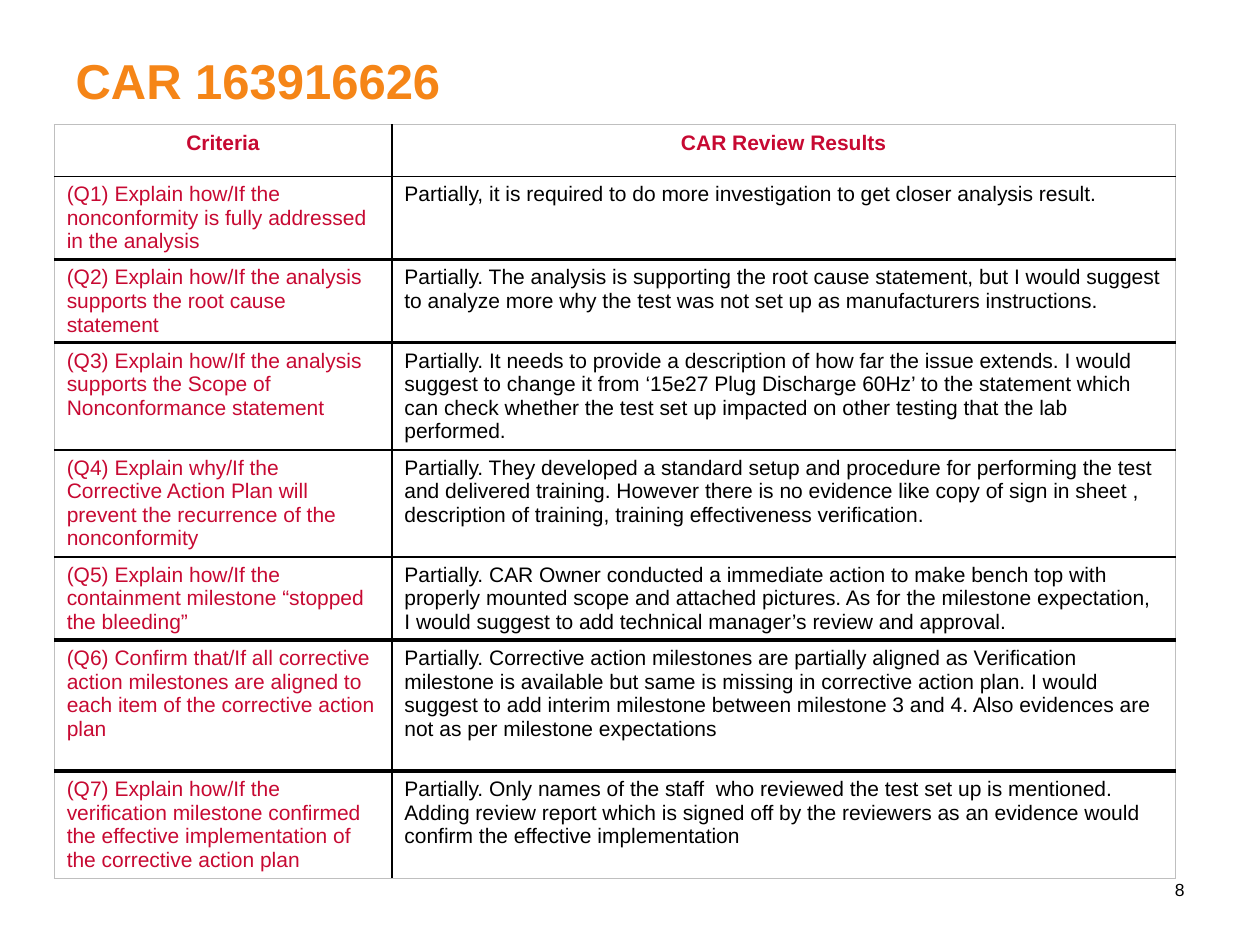
import pptx
import pptx.util
import pptx.dml.color
import pptx.enum.text
import pptx.oxml
import pptx.oxml.ns

COLORS = {"title": "F58517", "criteria": "C70932", "text": "000000",
          "rule": "000000", "frame": "BFBFBF"}
ALIGN = pptx.enum.text.PP_ALIGN
ANCHOR = pptx.enum.text.MSO_ANCHOR
THIN, THICK, FRAME = ("rule", 1), ("rule", 2.25), ("frame", 0.5)

HEADINGS = ("Criteria", "CAR Review Results")
REVIEW = [
    ("(Q1) Explain how/If the nonconformity is fully addressed in the analysis",
     "Partially, it is required to do more investigation to get closer analysis result."),
    ("(Q2) Explain how/If the analysis supports the root cause statement",
     "Partially. The analysis is supporting the root cause statement, but I would suggest "
     "to analyze more why the test was not set up as manufacturers instructions."),
    ("(Q3) Explain how/If the analysis supports the Scope of Nonconformance statement",
     "Partially. It needs to provide a description of how far the issue extends. I would "
     "suggest to change it from ‘15e27 Plug Discharge 60Hz’ to the statement which can check "
     "whether the test set up impacted on other testing that the lab performed."),
    ("(Q4) Explain why/If the Corrective Action Plan will prevent the recurrence of the "
     "nonconformity",
     "Partially. They developed a standard setup and procedure for performing the test and "
     "delivered training. However there is no evidence like copy of sign in sheet , "
     "description of training, training effectiveness verification."),
    ("(Q5) Explain how/If the containment milestone “stopped the bleeding”",
     "Partially. CAR Owner conducted a immediate action to make bench top with properly "
     "mounted scope and attached pictures. As for the milestone expectation, I would suggest "
     "to add technical manager’s review and approval."),
    ("(Q6) Confirm that/If all corrective action milestones are aligned to each item of the "
     "corrective action plan",
     "Partially. Corrective action milestones are partially aligned as Verification milestone "
     "is available but same is missing in corrective action plan. I would suggest to add "
     "interim milestone between milestone 3 and 4. Also evidences are not as per milestone "
     "expectations"),
    ("(Q7) Explain how/If the verification milestone confirmed the effective implementation "
     "of the corrective action plan",
     "Partially. Only names of the staff  who reviewed the test set up is mentioned. Adding "
     "review report which is signed off by the reviewers as an evidence would confirm the "
     "effective implementation"),
]
ROW_HEIGHTS = [4.1, 6.6, 6.6, 8.5, 8.5, 6.6, 10.4, 8.5]
THICK_BELOW = {1, 2, 5, 6}


class ReviewSlide:
    """Places elements on a grid of 100 columns by 75 rows."""

    def __init__(self, deck, font="Arial"):
        self.font = font
        self.unit = deck.slide_width / 100
        self.page = deck.slides.add_slide(deck.slide_layouts[5])

    def grid(self, *values):
        return [pptx.util.Emu(round(value * self.unit)) for value in values]

    def set_text(self, frame, text, size, color, bold=False, align=ALIGN.LEFT):
        frame.word_wrap = True
        para = frame.paragraphs[0]
        para.text = text
        para.alignment = align
        para.font.name = self.font
        para.font.size = pptx.util.Pt(size)
        para.font.bold = bold
        para.font.color.rgb = pptx.dml.color.RGBColor.from_string(COLORS[color])

    def title(self, text, *place):
        box = self.page.shapes.title
        box.left, box.top, box.width, box.height = self.grid(*place)
        frame = box.text_frame
        frame.auto_size = pptx.enum.text.MSO_AUTO_SIZE.NONE
        frame.vertical_anchor = ANCHOR.TOP
        frame.margin_top = pptx.util.Inches(0.1)
        self.set_text(frame, text, 28, "title", bold=True)

    def page_number(self, text, *place):
        frame = self.page.shapes.add_textbox(*self.grid(*place)).text_frame
        frame.vertical_anchor = ANCHOR.MIDDLE
        self.set_text(frame, text, 10, "text", align=ALIGN.RIGHT)

    def border(self, cell, sides):
        properties = cell._tc.get_or_add_tcPr()
        for index, (side, (color, width)) in enumerate(sides.items()):
            line = pptx.oxml.parse_xml(
                f'<a:ln{side} {pptx.oxml.ns.nsdecls("a")} w="{pptx.util.Pt(width)}">'
                f'<a:solidFill><a:srgbClr val="{COLORS[color]}"/></a:solidFill></a:ln{side}>')
            properties.insert(index, line)

    def table(self, rows, left, top, widths, heights):
        place = self.grid(left, top, sum(widths), sum(heights))
        table = self.page.shapes.add_table(len(rows), len(widths), *place).table
        table.horz_banding = False
        for column, width in zip(table.columns, self.grid(*widths)):
            column.width = width
        for row, height in zip(table.rows, self.grid(*heights)):
            row.height = height

        # Grey outer frame, black inner rules, heavier below some rows
        rules = [THICK if number in THICK_BELOW else THIN for number in range(len(rows) - 1)]
        across = [FRAME, *rules, FRAME]
        down = [FRAME, ("rule", 1.5), FRAME]
        for r, texts in enumerate(rows):
            for c, text in enumerate(texts):
                cell = table.cell(r, c)
                cell.fill.background()
                self.border(cell, {"L": down[c], "R": down[c + 1],
                                   "T": across[r], "B": across[r + 1]})
                header = r == 0
                self.set_text(cell.text_frame, text, 12,
                              "criteria" if header or c == 0 else "text", bold=header,
                              align=ALIGN.CENTER if header else ALIGN.LEFT)


def main():
    deck = pptx.Presentation()
    deck.slide_width = pptx.util.Inches(10)
    deck.slide_height = pptx.util.Inches(7.5)
    slide = ReviewSlide(deck)

    # Title, review table, page number
    slide.title("CAR 163916626", 5, 3, 90, 12.5)
    slide.table([HEADINGS, *REVIEW], 4.3, 9.9, [26.8, 62.2], ROW_HEIGHTS)
    slide.page_number("8", 88, 68.6, 7, 4)
    deck.save("out.pptx")


if __name__ == "__main__":
    main()
